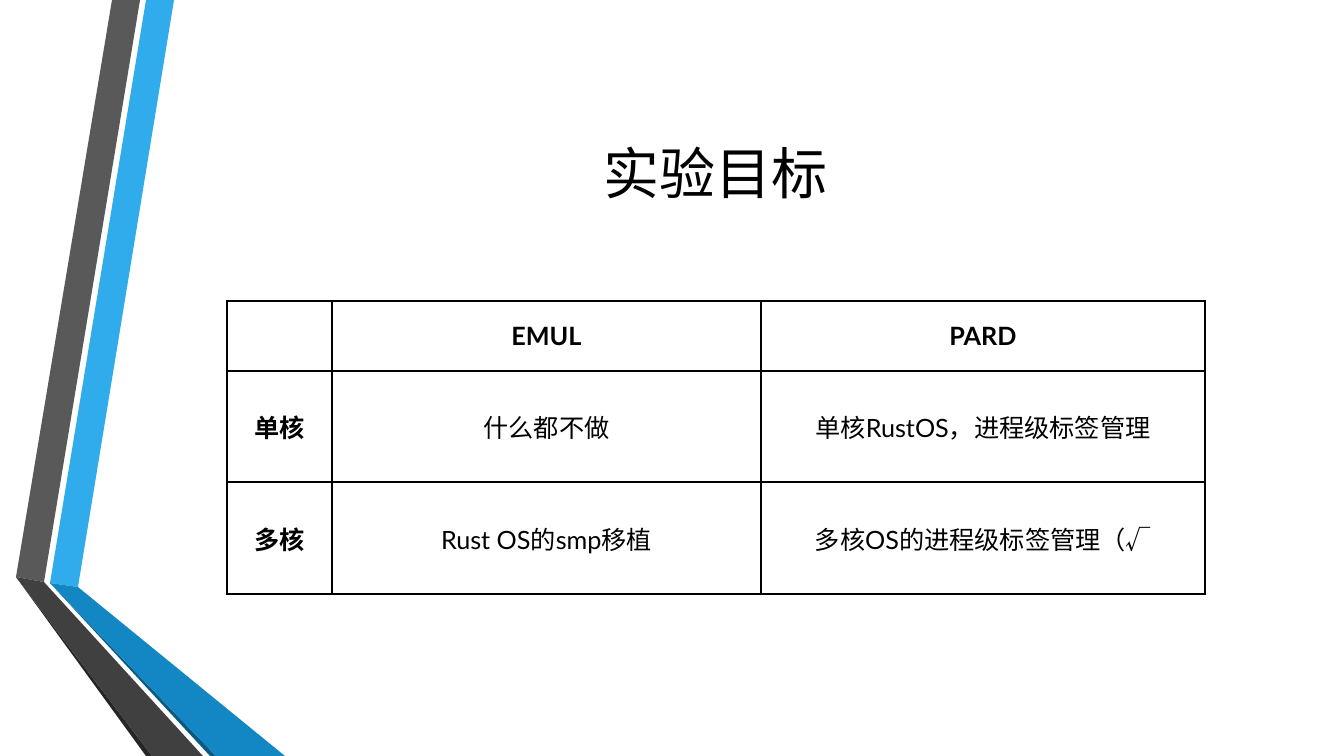
from dataclasses import dataclass
from typing import Any

from lxml.etree import SubElement
from pptx import Presentation
from pptx.dml.color import RGBColor
from pptx.enum.text import MSO_ANCHOR, PP_ALIGN
from pptx.oxml.ns import qn
from pptx.util import Emu, Pt

WIDTH, HEIGHT = 1344, 756
SCALE = 12192000 / WIDTH

BLACK = RGBColor(0x00, 0x00, 0x00)
SKY = RGBColor(0x30, 0xAC, 0xEC)
BLUE = RGBColor(0x12, 0x87, 0xC3)
NAVY = RGBColor(0x0C, 0x5A, 0x82)
GREY = RGBColor(0x59, 0x59, 0x59)
DARK_GREY = RGBColor(0x40, 0x40, 0x40)
CHARCOAL = RGBColor(0x26, 0x26, 0x26)

TITLE_FONT = {"name": "Lato", "size": Pt(40)}
HEAD_FONT = {"name": "Lato", "size": Pt(18), "bold": True}
BODY_FONT = HEAD_FONT | {"bold": False}


@dataclass(frozen=True)
class Band:
    """One flat piece of the folded ribbons at the left edge."""
    color: RGBColor
    points: tuple[tuple[int, int], ...]


BANDS = [
    Band(SKY, ((50, 583), (78, 587), (174, 0), (146, 0))),
    Band(GREY, ((140, 0), (112, 0), (16, 577), (44, 582))),
    Band(CHARCOAL, ((16, 577), (146, HEIGHT), (152, HEIGHT))),
    Band(NAVY, ((50, 583), (210, HEIGHT), (216, HEIGHT))),
    Band(BLUE, ((50, 583), (216, HEIGHT), (285, HEIGHT), (78, 587))),
    Band(DARK_GREY, ((16, 577), (152, HEIGHT), (203, HEIGHT), (44, 582))),
]

COLUMNS = [105, 429, 444]
ROWS = [70, 111, 112]
GOALS = [
    ["", "EMUL", "PARD"],
    ["单核", "什么都不做", "单核RustOS，进程级标签管理"],
    ["多核", "Rust OS的smp移植", "多核OS的进程级标签管理（√"],
]


def px(value: int) -> Emu:
    """Turn pixels into EMU."""
    return Emu(round(value * SCALE))


def write(tf: Any, text: str, font: dict[str, Any]) -> None:
    """Put one centred black paragraph into a text frame."""
    p = tf.paragraphs[0]
    p.alignment = PP_ALIGN.CENTER
    r = p.add_run()
    r.text = text
    for name, value in font.items():
        setattr(r.font, name, value)
    r.font.color.rgb = BLACK


def add_band(shapes: Any, band: Band) -> None:
    """Draw one ribbon piece without outline."""
    builder = shapes.build_freeform(*band.points[0], scale=SCALE)
    builder.add_line_segments(band.points[1:], close=True)
    sp = builder.convert_to_shape()
    sp.shadow.inherit = False
    sp.fill.solid()
    sp.fill.fore_color.rgb = band.color
    sp.line.fill.background()


def add_title(s: Any, text: str) -> None:
    """Add the slide heading."""
    tf = s.shapes.add_textbox(px(163), px(76), px(1105), px(193)).text_frame
    tf.word_wrap = True
    tf.vertical_anchor = MSO_ANCHOR.MIDDLE
    write(tf, text, TITLE_FONT)


def add_borders(cell: Any) -> None:
    """Give a cell thin black lines on all four sides."""
    tc_pr = cell._tc.get_or_add_tcPr()
    for side in ("lnL", "lnR", "lnT", "lnB"):
        ln = SubElement(tc_pr, qn(f"a:{side}"), w=str(Pt(1)))
        fill = SubElement(ln, qn("a:solidFill"))
        SubElement(fill, qn("a:srgbClr"), val=str(BLACK))


def add_goals(s: Any) -> None:
    """Add the table of goals by platform and core count."""
    frame = s.shapes.add_table(len(ROWS), len(COLUMNS), px(227), px(301),
                               px(sum(COLUMNS)), px(sum(ROWS)))
    table = frame.table
    table.first_row = table.horz_banding = False
    for column, width in zip(table.columns, COLUMNS):
        column.width = px(width)
    for row, height in zip(table.rows, ROWS):
        row.height = px(height)
    for i, texts in enumerate(GOALS):
        for j, text in enumerate(texts):
            cell = table.cell(i, j)
            cell.vertical_anchor = MSO_ANCHOR.MIDDLE
            add_borders(cell)
            cell.fill.background()
            if text:
                is_head = i == 0 or j == 0
                write(cell.text_frame, text, HEAD_FONT if is_head else BODY_FONT)


prs = Presentation()
prs.slide_width, prs.slide_height = px(WIDTH), px(HEIGHT)
s = prs.slides.add_slide(prs.slide_layouts[6])
ribbons = s.shapes.add_group_shape()
for band in BANDS:
    add_band(ribbons.shapes, band)
add_title(s, "实验目标")
add_goals(s)
prs.save("out.pptx")
